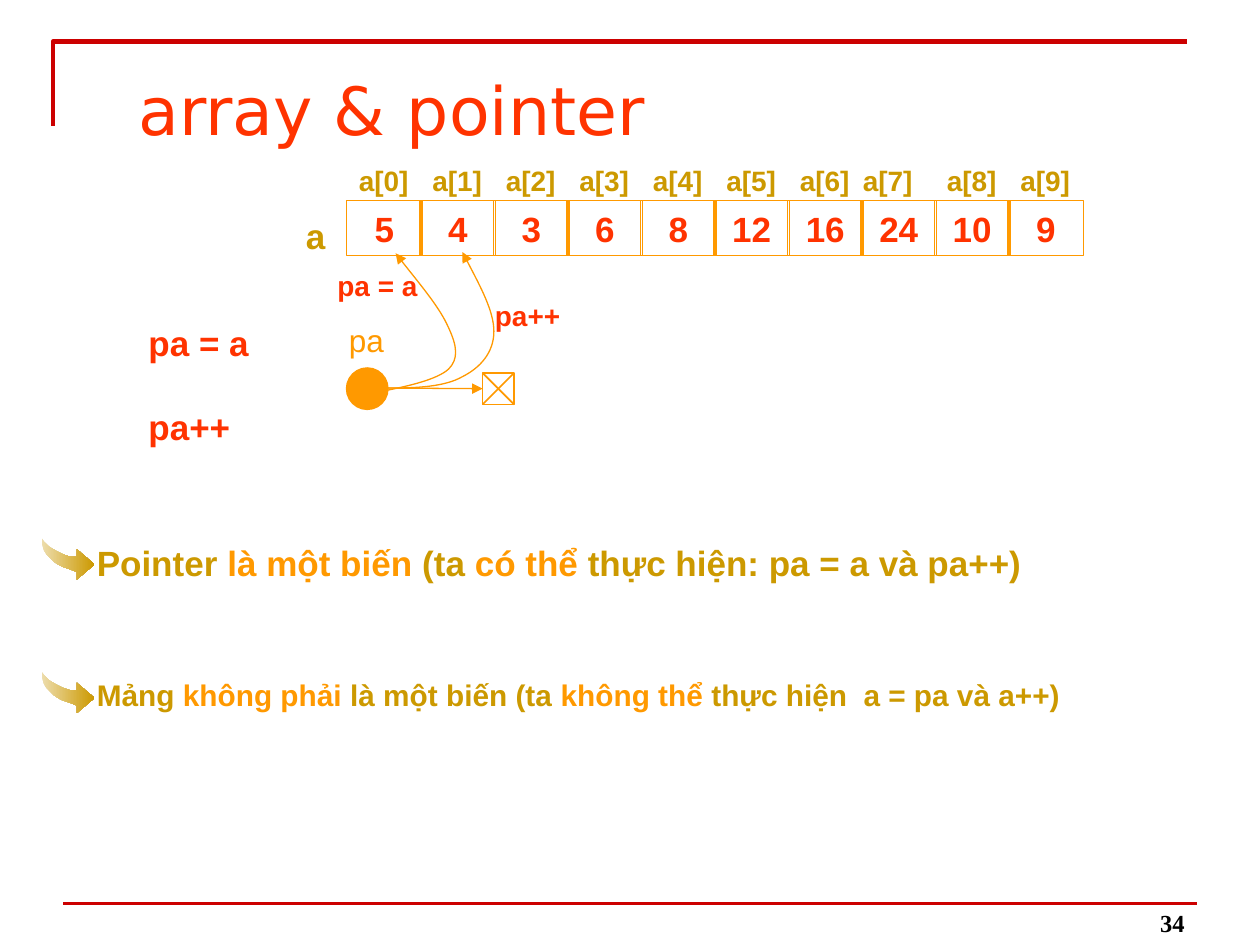
from pptx import Presentation
from pptx.dml.color import RGBColor
from pptx.enum.shapes import MSO_CONNECTOR as Connector, MSO_SHAPE as Shape
from pptx.enum.text import MSO_ANCHOR as Anchor, PP_ALIGN as Align
from pptx.oxml.ns import qn
from pptx.util import Inches, Pt
from lxml.etree import SubElement

COLORS = {"frame": "CC0000", "red": "FF3300", "orange": "FF9900",
          "gold": "CC9900", "pale": "EDDDAD", "black": "000000"}
VALUES = [5, 4, 3, 6, 8, 12, 16, 24, 10, 9]
ARRAY_LEFT, CELL_PITCH = 2.75, 7 / 12
ASSIGN_CURVE = [(3.06, 3.1), (3.26, 3.06), (3.47, 3.01), (3.56, 2.93),
                (3.64, 2.85), (3.63, 2.75), (3.56, 2.6),
                (3.49, 2.44), (3.31, 2.23), (3.14, 2.01)]
STEP_CURVE = [(3.08, 3.08), (3.31, 3.08), (3.53, 3.07), (3.67, 2.99),
              (3.81, 2.92), (3.92, 2.8), (3.92, 2.63),
              (3.92, 2.47), (3.79, 2.23), (3.67, 2)]
SWOOSH = [(0, 0), (0, 0.03), (0.01, 0.07), (0.02, 0.1), (0.04, 0.13),
          (0.07, 0.16), (0.1, 0.19), (0.13, 0.21), (0.17, 0.23),
          (0.23, 0.25), (0.28, 0.27), (0.28, 0.33), (0.42, 0.21),
          (0.28, 0.09), (0.28, 0.15), (0.23, 0.15), (0.17, 0.13),
          (0.11, 0.1), (0.06, 0.07), (0.02, 0.03)]


def color(name):
    return RGBColor.from_string(COLORS[name])


def style_line(shape, name, width, arrow=False):
    shape.line.color.rgb = color(name)
    shape.line.width = Pt(width)
    if arrow:
        SubElement(shape.line._get_or_add_ln(), qn("a:tailEnd"), type="triangle")


def write(shape, spans, size, font="Arial", bold=True, align=Align.LEFT):
    shape.text_frame.word_wrap = True
    para = shape.text_frame.paragraphs[0]
    para.alignment = align
    para.font.name, para.font.size, para.font.bold = font, Pt(size), bold
    names = {name for _, name in spans}
    if len(names) == 1:
        para.font.color.rgb = color(names.pop())
    for text, name in spans:
        span = para.add_run()
        span.text = text
        if len(spans) > 1:
            span.font.color.rgb = color(name)
    return para


def add_text(page, left, top, width, height, spans, size, **options):
    box = page.shapes.add_textbox(Inches(left), Inches(top),
                                  Inches(width), Inches(height))
    write(box, spans, size, **options)
    return box


def add_box(page, kind, left, top, width, height, line_width, fill=None):
    box = page.shapes.add_shape(kind, Inches(left), Inches(top),
                                Inches(width), Inches(height))
    box.shadow.inherit = False
    if fill:
        box.fill.solid()
        box.fill.fore_color.rgb = color(fill)
    else:
        box.fill.background()
    style_line(box, "orange", line_width)
    return box


def add_line(page, start, end, name, width, arrow=False):
    line = page.shapes.add_connector(Connector.STRAIGHT,
                                     *(Inches(v) for v in (*start, *end)))
    style_line(line, name, width, arrow)
    SubElement(line._element.spPr, qn("a:effectLst"))
    return line


def add_outline(page, points, close=False):
    corners = [(Inches(x), Inches(y)) for x, y in points]
    builder = page.shapes.build_freeform(*corners[0])
    builder.add_line_segments(corners[1:], close=close)
    outline = builder.convert_to_shape()
    outline.shadow.inherit = False
    outline.fill.background()
    return outline


def add_curve(page, points):
    curve = add_outline(page, points)
    style_line(curve, "orange", 0.75, arrow=True)
    segments = list(curve._element.iter(qn("a:lnTo")))
    track = segments[0].getparent()
    for first in range(0, len(segments), 3):
        bezier = SubElement(track, qn("a:cubicBezTo"))
        for segment in segments[first:first + 3]:
            bezier.append(segment[0])
            track.remove(segment)


def add_swoosh(page, left, top):
    swoosh = add_outline(page, [(left + x, top + y) for x, y in SWOOSH], close=True)
    swoosh.line.fill.background()
    swoosh.fill.gradient()
    swoosh.fill.gradient_angle = 0
    for stop, name in zip(swoosh.fill.gradient_stops, ("pale", "gold")):
        stop.color.rgb = color(name)


def add_array(page):
    for index, value in enumerate(VALUES):
        left = ARRAY_LEFT + index * CELL_PITCH
        cell = add_box(page, Shape.RECTANGLE, left, 1.59, 0.6, 0.44, 0.75)
        cell.text_frame.vertical_anchor = Anchor.MIDDLE
        write(cell, [(str(value), "red")], 20, align=Align.CENTER)
        label_left = 6.75 if index == 7 else left
        add_text(page, label_left, 1.25, 0.75, 0.37, [(f"a[{index}]", "gold")], 16)
    add_text(page, 2.33, 1.65, 0.5, 0.44, [("a", "gold")], 20)


def add_pointer(page):
    target = add_box(page, Shape.RECTANGLE, 3.83, 2.96, 0.25, 0.25, 1)
    add_line(page, (3.83, 2.96), (4.08, 3.21), "orange", 1)
    add_line(page, (4.08, 2.96), (3.83, 3.21), "orange", 1)
    arrow = add_line(page, (3.08, 3.08), (3.83, 3.08), "orange", 0.75, arrow=True)
    arrow.end_connect(target, 1)
    add_box(page, Shape.OVAL, 2.75, 2.92, 0.33, 0.33, 0.75, fill="orange")
    add_text(page, 2.67, 2.5, 0.5, 0.4, [("pa", "orange")], 18, bold=False)
    add_curve(page, ASSIGN_CURVE)
    add_curve(page, STEP_CURVE)
    for left, top, width, height, text, size in (
            (2.58, 2.08, 1.08, 0.37, "pa = a", 16),
            (3.83, 2.32, 0.75, 0.37, "pa++", 16),
            (1.08, 2.5, 1.08, 0.44, "pa = a", 20),
            (1.08, 3.17, 1, 0.44, "pa++", 20)):
        add_text(page, left, top, width, height, [(text, "red")], size)


def add_conclusions(page):
    add_text(page, 0.67, 4.25, 7.67, 0.44,
             [("Pointer ", "gold"), ("là một biến", "orange"), (" (ta ", "gold"),
              ("có thể", "orange"), (" thực hiện: pa = a và pa++)", "gold")], 20)
    box = add_text(page, 0.67, 5.25, 9.17, 0.58,
                   [("Mảng ", "gold"), ("không phải", "orange"),
                    (" là một biến (ta ", "gold"), ("không thể", "orange"),
                    (" thực hiện  a = pa và a++)", "gold")], 17, align=Align.JUSTIFY)
    box.text_frame.paragraphs[0].line_spacing = 1.25
    for top in (4.27, 5.33):
        add_swoosh(page, 0.33, top)


def main():
    deck = Presentation()
    deck.slide_width, deck.slide_height = Inches(10), Inches(7.5)
    page = deck.slides.add_slide(deck.slide_layouts[6])
    frame = add_outline(page, [(0.42, 1), (0.42, 0.33), (9.42, 0.33)])
    style_line(frame, "frame", 2.5)
    add_line(page, (0.5, 7.17), (9.5, 7.17), "frame", 2)
    add_text(page, 1, 0.5, 5.11, 0.53, [("array & pointer", "red")], 38,
             font="DejaVu Sans", bold=False)
    add_array(page)
    add_pointer(page)
    add_conclusions(page)
    number = add_text(page, 7.17, 6.99, 2.33, 0.5, [("34", "black")], 14,
                      font="Times New Roman", align=Align.RIGHT)
    number.text_frame.vertical_anchor = Anchor.BOTTOM
    deck.save("out.pptx")


if __name__ == "__main__":
    main()
